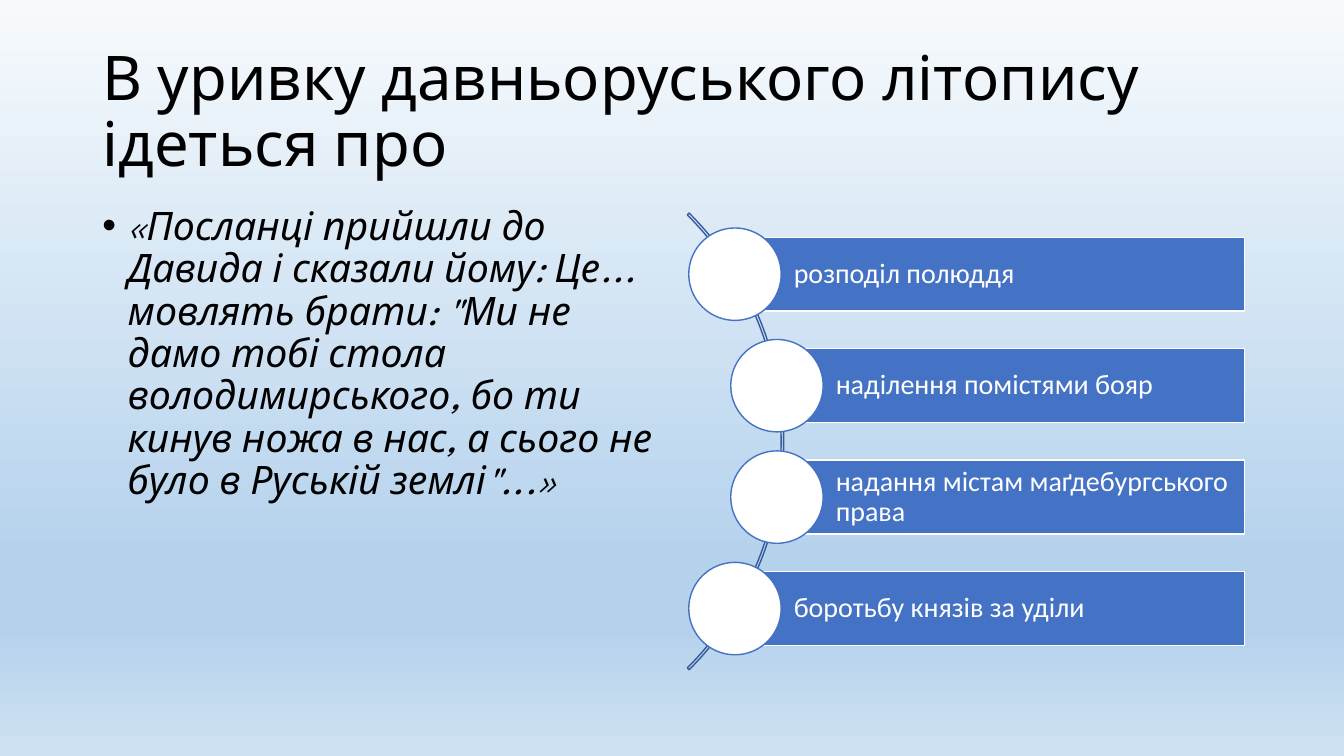
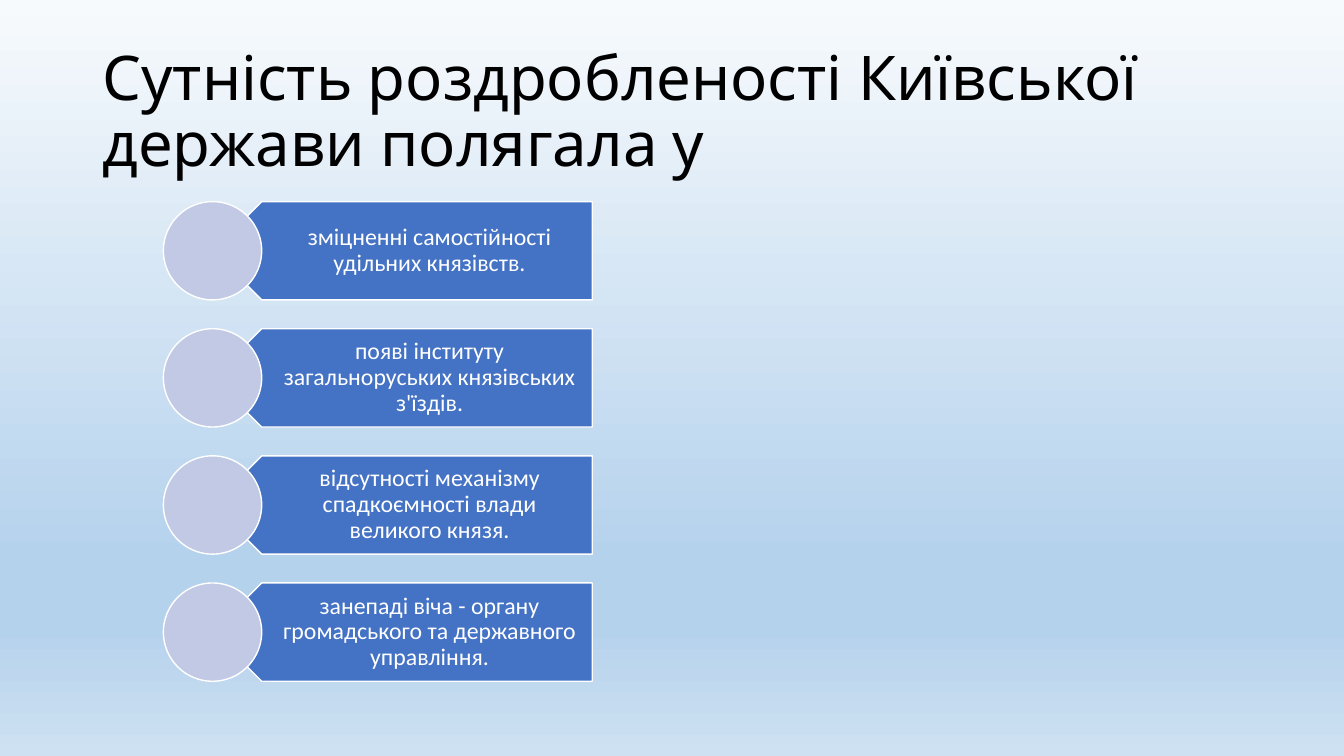
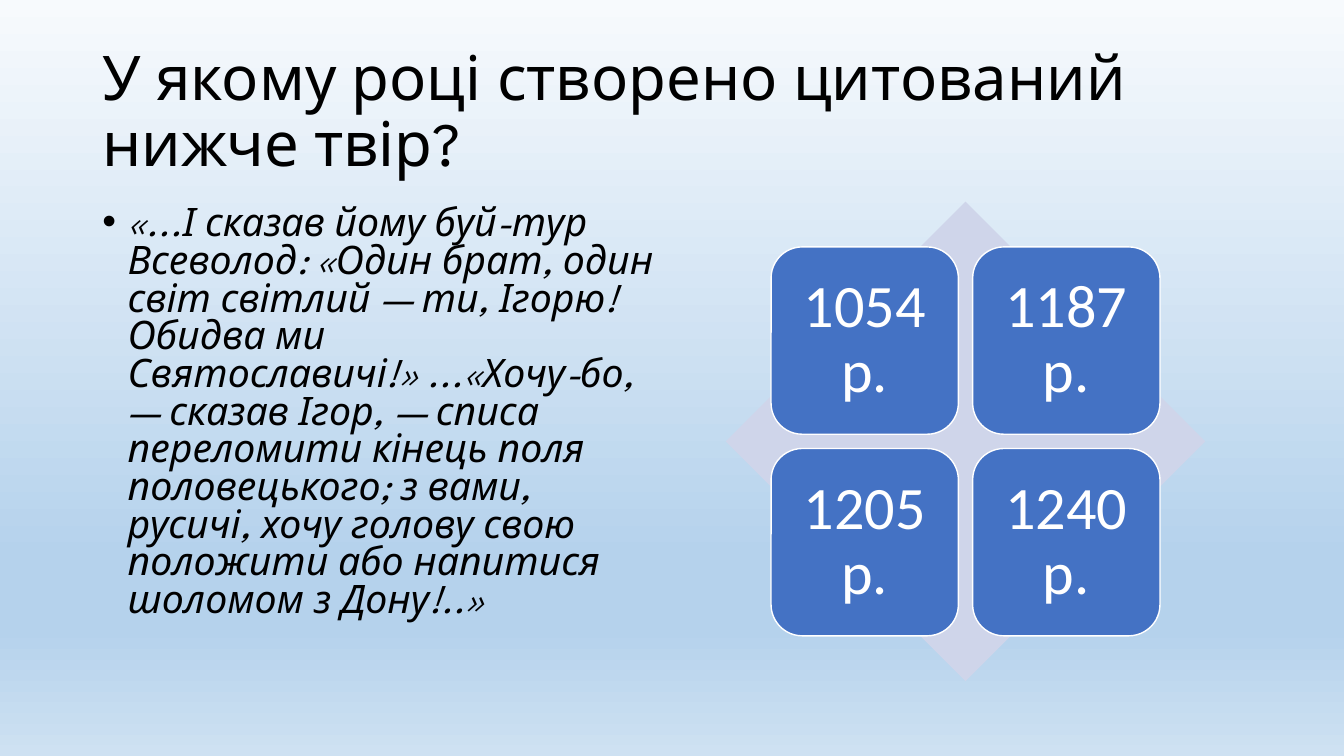
from lxml.etree import SubElement
from pptx import Presentation
from pptx.dml.color import RGBColor
from pptx.enum.shapes import MSO_SHAPE as SHAPE
from pptx.enum.text import MSO_ANCHOR as ANCHOR, MSO_AUTO_SIZE as AUTO_SIZE, PP_ALIGN as ALIGN
from pptx.oxml.ns import qn
from pptx.util import Inches, Pt

# Grid: the slide is 160 columns by 90 rows of square cells
COLUMNS, ROWS = 160, 90
CELL = Inches(7.5) // ROWS
MARGIN, BODY_TOP, BODY_HEIGHT = 11, 24, 57.1
BODY_MIDDLE = BODY_TOP + BODY_HEIGHT / 2

# Colours
BLACK = RGBColor(0x00, 0x00, 0x00)
WHITE = RGBColor(0xFF, 0xFF, 0xFF)
BLUE = RGBColor(0x44, 0x72, 0xC4)
DARK_BLUE = RGBColor(0x36, 0x5B, 0x9D)
LILAC = RGBColor(0xC1, 0xC9, 0xE4)
PALE_LILAC = RGBColor(0xCF, 0xD5, 0xEA)
SKY = [
    (0, RGBColor(0xF7, 0xFA, 0xFD)),
    (74, RGBColor(0xB5, 0xD2, 0xEC)),
    (83, RGBColor(0xB5, 0xD2, 0xEC)),
    (100, RGBColor(0xCE, 0xE1, 0xF2)),
]

# Text styles
TITLE = dict(size=44, font="League Spartan", color=BLACK, anchor=ANCHOR.MIDDLE)
QUOTE = dict(size=28, font="League Spartan", color=BLACK, italic=True, hanging=3)
ANSWER = dict(font="Calibri", color=WHITE, anchor=ANCHOR.MIDDLE)


def write(holder, text, size, font, color, italic=False, align=ALIGN.LEFT,
          anchor=ANCHOR.TOP, spacing=0.9, hanging=0, insets=None):
    """Fill a holder with one formatted paragraph; lengths are in cells."""
    frame = holder.text_frame
    frame.word_wrap = True
    frame.auto_size = AUTO_SIZE.NONE
    frame.vertical_anchor = anchor
    if insets:
        (frame.margin_left, frame.margin_top,
         frame.margin_right, frame.margin_bottom) = [round(i * CELL) for i in insets]
    paragraph = frame.paragraphs[0]
    paragraph.alignment = align
    paragraph.line_spacing = spacing
    paragraph.space_before = Pt(0)
    if hanging:
        properties = paragraph._p.get_or_add_pPr()
        properties.set("marL", str(hanging * CELL))
        properties.set("indent", str(-hanging * CELL))
    run = paragraph.add_run()
    run.text = text
    run.font.size = Pt(size)
    run.font.name = font
    run.font.italic = italic
    run.font.color.rgb = color


def draw(slide, kind, left, top, width, height, fill=None, line=None):
    """Add a flat preset shape measured in cells."""
    shape = slide.shapes.add_shape(
        kind, *[round(n * CELL) for n in (left, top, width, height)])
    shape.shadow.inherit = False
    if fill is None:
        shape.fill.background()
    else:
        shape.fill.solid()
        shape.fill.fore_color.rgb = fill
    if line is None:
        shape.line.fill.background()
    else:
        shape.line.color.rgb = line
        shape.line.width = Pt(1)
    return shape


# Shared master: placeholder places and sky gradient
deck = Presentation()
deck.slide_width, deck.slide_height = COLUMNS * CELL, ROWS * CELL
master = deck.slide_master
places = [(MARGIN, 4.8, 138, 17.4), (MARGIN, BODY_TOP, 68, BODY_HEIGHT)]
for holder, place in zip(master.placeholders, places):
    holder.left, holder.top, holder.width, holder.height = [round(n * CELL) for n in place]

sky = master.background.fill
sky.gradient()
sky.gradient_angle = 270
stops = master.element.find(".//" + qn("a:gsLst"))
for stop in list(stops):
    stops.remove(stop)
for percent, color in SKY:
    stop = SubElement(stops, qn("a:gs"), pos=str(percent * 1000))
    SubElement(stop, qn("a:srgbClr"), val=str(color))

# Slides with their titles and quotations
WITH_QUOTE, TITLE_ONLY = deck.slide_layouts[1], deck.slide_layouts[5]
contents = [
    (WITH_QUOTE, "В уривку давньоруського літопису ідеться про", 0.9,
     "«Посланці прийшли до Давида і сказали йому: Це... мовлять брати: \"Ми не дамо тобі "
     "стола володимирського, бо ти кинув ножа в нас, а сього не було в Руській землі\"...»"),
    (TITLE_ONLY, "Сутність роздробленості Київської держави полягала у", None, None),
    (WITH_QUOTE, "У якому році створено цитований нижче твір?", 0.8,
     "«...І сказав йому буй-тур Всеволод: «Один брат, один світ світлий — ти, Ігорю! "
     "Обидва ми Святославичі!» ...«Хочу-бо, — сказав Ігор, — списа переломити кінець "
     "поля половецького; з вами, русичі, хочу голову свою положити або напитися "
     "шоломом з Дону!..»"),
]
for layout, title, spacing, quote in contents:
    slide = deck.slides.add_slide(layout)
    write(slide.shapes.title, title, **TITLE)
    if quote:
        write(slide.placeholders[1], quote, spacing=spacing, **QUOTE)
chronicle, fragmentation, dating = deck.slides

# Chronicle: answers strung along an arc
ARC, DOT, BAR, BAR_RIGHT, BAR_PITCH = 76.9, 11, 8.8, 148.2, 13.27
arc = draw(chronicle, SHAPE.BLOCK_ARC, 16.4, BODY_MIDDLE - ARC / 2, ARC, ARC, line=DARK_BLUE)
for index, value in enumerate((189, 27, 0.004)):
    arc.adjustments[index] = value

topics = [
    (87.5, "розподіл полюддя"),
    (92.5, "наділення помістями бояр"),
    (92.5, "надання містам маґдебургського права"),
    (87.5, "боротьбу князів за уділи"),
]
for row, (center, topic) in enumerate(topics):
    middle = BODY_MIDDLE + (row - 1.5) * BAR_PITCH
    bar = draw(chronicle, SHAPE.RECTANGLE, center, middle - BAR / 2,
               BAR_RIGHT - center, BAR, BLUE, WHITE)
    write(bar, topic, size=20, insets=(7, 0.7, 0.7, 0.7), **ANSWER)
    draw(chronicle, SHAPE.OVAL, center - DOT / 2, middle - DOT / 2, DOT, DOT, WHITE, BLUE)

# Fragmentation: four arrows pointing back at their circles
MARK, MARK_LEFT, PLATE_WIDTH, LABEL_WIDTH = 11.7, 19.45, 45.2, 42.3
mark_pitch = (BODY_HEIGHT - MARK) / 3
plate_left = MARK_LEFT + MARK / 2
label_left = plate_left + PLATE_WIDTH - LABEL_WIDTH
essences = [
    "зміцненні самостійності удільних князівств.",
    "появі інституту загальноруських князівських з'їздів.",
    "відсутності механізму спадкоємності влади великого князя.",
    "занепаді віча - органу громадського та державного управління.",
]
for row, essence in enumerate(essences):
    top = BODY_TOP + row * mark_pitch
    plate = draw(fragmentation, SHAPE.PENTAGON, plate_left, top, PLATE_WIDTH, MARK, BLUE, WHITE)
    plate.rotation = 180
    label = fragmentation.shapes.add_textbox(
        *[round(n * CELL) for n in (label_left, top, LABEL_WIDTH, MARK)])
    write(label, essence, size=17, align=ALIGN.CENTER, insets=(5.2, 0.8, 1.6, 0.8), **ANSWER)
    draw(fragmentation, SHAPE.OVAL, MARK_LEFT, top, MARK, MARK, LILAC, WHITE)

# Dating: two by two tiles centred on a diamond
DIAMOND_LEFT, TILE, TILE_PITCH = 86.4, 22.3, 24
tile_margin = (BODY_HEIGHT - TILE - TILE_PITCH) / 2
draw(dating, SHAPE.DIAMOND, DIAMOND_LEFT, BODY_TOP, BODY_HEIGHT, BODY_HEIGHT, PALE_LILAC)
for index, year in enumerate(("1054 р.", "1187 р.", "1205 р.", "1240 р.")):
    row, column = divmod(index, 2)
    tile = draw(dating, SHAPE.ROUNDED_RECTANGLE,
                DIAMOND_LEFT + tile_margin + column * TILE_PITCH,
                BODY_TOP + tile_margin + row * TILE_PITCH, TILE, TILE, BLUE, WHITE)
    write(tile, year, size=43, align=ALIGN.CENTER, insets=(2.2,) * 4, **ANSWER)

deck.save("out.pptx")
